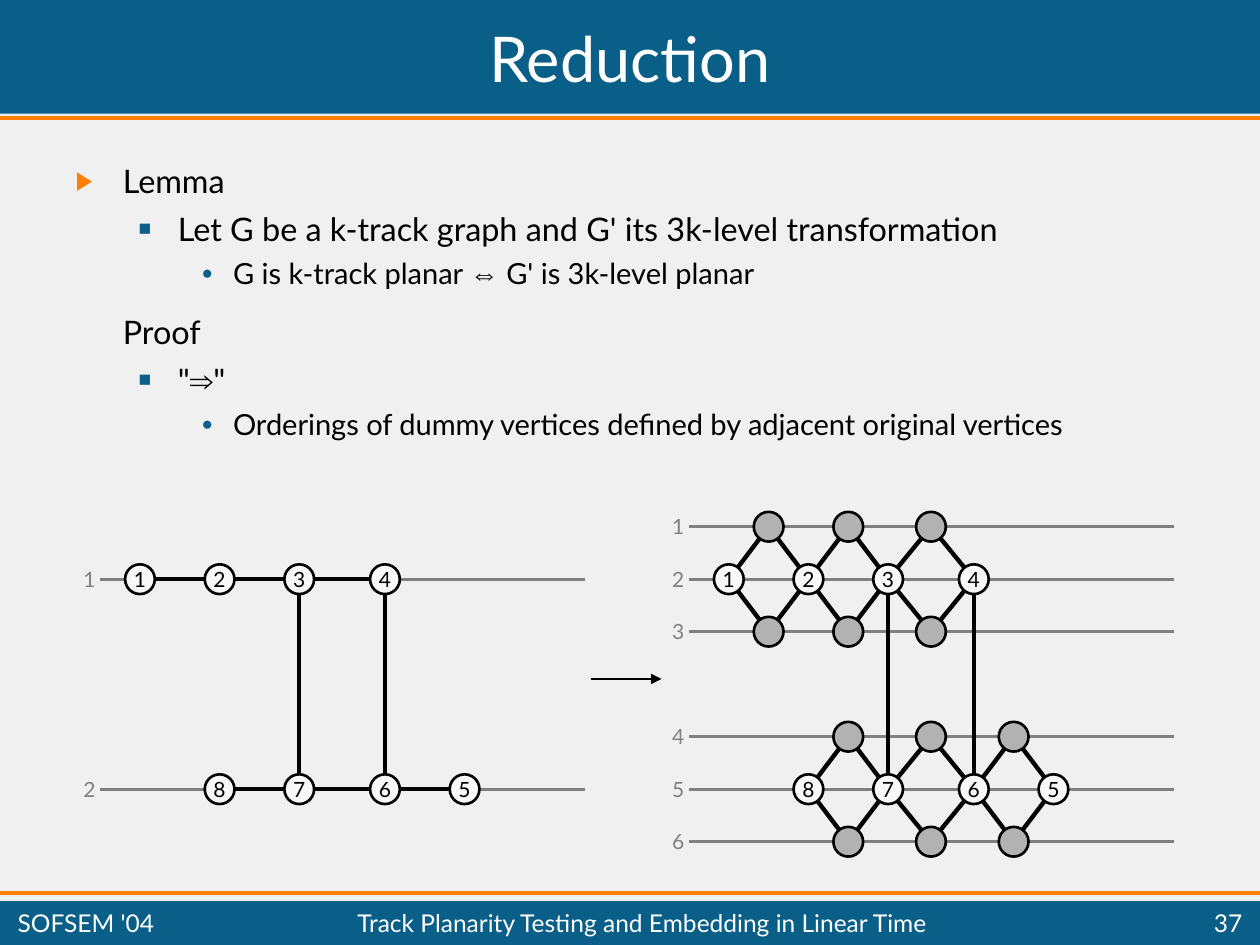
import dataclasses
import itertools
import typing

import lxml.etree
import pptx
import pptx.dml.color
import pptx.enum.shapes
import pptx.enum.text
import pptx.oxml
import pptx.oxml.ns
import pptx.util

Pt = pptx.util.Pt
Shape = pptx.enum.shapes.MSO_SHAPE
Align = pptx.enum.text.PP_ALIGN
Anchor = pptx.enum.text.MSO_ANCHOR
qn = pptx.oxml.ns.qn


@dataclasses.dataclass(frozen=True)
class Theme:
    paper: str = "F0F0F0"
    blue: str = "0A5F89"
    orange: str = "FF7F00"
    white: str = "FFFFFF"
    black: str = "000000"
    grey: str = "808080"
    node: str = "F8F8F8"
    dummy: str = "B2B2B2"
    font: str = "Lato"
    sign: str = "Arial"
    head: float = 36
    large: float = 18.5
    small: float = 16.6
    foot: float = 14
    tag: float = 12


class Level(typing.NamedTuple):
    margin: float
    indent: float
    before: float
    size: float
    mark: str
    scale: int
    color: str


class Item(typing.NamedTuple):
    level: int
    runs: tuple[str, ...]
    mark: bool = True


class Node(typing.NamedTuple):
    name: str
    col: int
    row: int


class Foot(typing.NamedTuple):
    text: str
    left: float
    width: float
    align: Align


THEME = Theme()
LEVELS = (
    Level(27, -27, 12.5, THEME.large, "▶", 80, THEME.orange),
    Level(58.5, -22.5, 5, THEME.large, "■", 65, THEME.blue),
    Level(90, -18, 4.5, THEME.small, "●", 65, THEME.blue),
)
ITEMS = (
    Item(0, ("Lemma",)),
    Item(1, ("Let G be a k-track graph and G' its 3k-level transformation",)),
    Item(2, ("G is k-track planar ", "⇔", " G' is 3k-level planar")),
    Item(0, ("Proof",), False),
    Item(1, ('"', "⇒", '"')),
    Item(2, ("Orderings of dummy vertices defined by adjacent original vertices",)),
)
FEET = (
    Foot("SOFSEM '04", 3, 104, Align.LEFT),
    Foot("Track Planarity Testing and Embedding in Linear Time", 108, 518, Align.CENTER),
    Foot("37", 632, 85, Align.RIGHT),
)
COLS = (80, 125.5, 171, 220, 265.5)
ROWS = (331, 451)
PATHS = (
    tuple(Node(name, col, 0) for col, name in enumerate("1234")),
    tuple(Node(name, col, 1) for col, name in enumerate("8765", 1)),
)
SHIFT = 336.5
RISE = 30
SIZE = 17


def paint(color: str) -> pptx.dml.color.RGBColor:
    return pptx.dml.color.RGBColor.from_string(color)


def write(para, text: str, size: float, color: str, font: str = THEME.font) -> None:
    run = para.add_run()
    run.text = text
    run.font.name = font
    run.font.size = Pt(size)
    run.font.color.rgb = paint(color)


def place(shape, left: float, top: float, width: float, height: float) -> None:
    shape.left, shape.top = Pt(left), Pt(top)
    shape.width, shape.height = Pt(width), Pt(height)


def rule(shapes, x1: float, y1: float, x2: float, y2: float, color: str, width: float):
    line = shapes.add_connector(
        pptx.enum.shapes.MSO_CONNECTOR.STRAIGHT, Pt(x1), Pt(y1), Pt(x2), Pt(y2))
    line.line.color.rgb = paint(color)
    line.line.width = Pt(width)
    lxml.etree.SubElement(line.element.spPr, qn("a:effectLst"))
    return line


def label(shapes, text: str, left: float, top: float, width: float, height: float,
          size: float, color: str, align: Align, wrap: bool) -> None:
    frame = shapes.add_textbox(Pt(left), Pt(top), Pt(width), Pt(height)).text_frame
    frame.word_wrap = wrap
    frame.vertical_anchor = Anchor.MIDDLE
    frame.paragraphs[0].alignment = align
    write(frame.paragraphs[0], text, size, color)


def band(shapes, top: float, height: float, edge: float) -> None:
    bar = shapes.add_shape(Shape.RECTANGLE, 0, Pt(top), Pt(720), Pt(height))
    bar.shadow.inherit = False
    bar.fill.solid()
    bar.fill.fore_color.rgb = paint(THEME.blue)
    bar.line.fill.background()
    rule(shapes, 0, edge, 720, edge, THEME.orange, 2.25)


def disc(shapes, x: float, y: float, fill: str, name: str = "") -> None:
    dot = shapes.add_shape(Shape.OVAL, Pt(x - SIZE / 2), Pt(y - SIZE / 2), Pt(SIZE), Pt(SIZE))
    dot.shadow.inherit = False
    dot.fill.solid()
    dot.fill.fore_color.rgb = paint(fill)
    dot.line.color.rgb = paint(THEME.black)
    dot.line.width = Pt(1.5)
    if name:
        frame = dot.text_frame
        frame.word_wrap = False
        frame.vertical_anchor = Anchor.MIDDLE
        frame.paragraphs[0].alignment = Align.CENTER
        write(frame.paragraphs[0], name, THEME.tag, THEME.black)


def graph(shapes, shift: float, tracks: tuple[float, ...], split: bool) -> None:
    def edge(x1: float, y1: float, x2: float, y2: float) -> None:
        rule(shapes, x1, y1, x2, y2, THEME.black, 2.5)

    for num, y in enumerate(tracks, 1):
        rule(shapes, shift + 57, y, shift + 334.5, y, THEME.grey, 1.5)
        label(shapes, str(num), shift + 40.5, y - 11, 21, 21.5,
              THEME.tag, THEME.grey, Align.LEFT, False)
    for col in (2, 3):
        edge(shift + COLS[col], ROWS[0], shift + COLS[col], ROWS[1])
    for path in PATHS:
        for a, b in itertools.pairwise(path):
            x1, x2, y = shift + COLS[a.col], shift + COLS[b.col], ROWS[a.row]
            if not split:
                edge(x1, y, x2, y)
                continue
            mid = (x1 + x2) / 2
            for level in (y - RISE, y + RISE):
                edge(x1, y, mid, level)
                edge(mid, level, x2, y)
                disc(shapes, mid, level, THEME.dummy)
    for node in itertools.chain(*PATHS):
        disc(shapes, shift + COLS[node.col], ROWS[node.row], THEME.node, node.name)


def bullet(para, level: Level, mark: bool) -> None:
    props = para._p.get_or_add_pPr()
    props.set("marL", str(Pt(level.margin)))
    props.set("indent", str(Pt(level.indent if mark else 0)))
    if not mark:
        lxml.etree.SubElement(props, qn("a:buNone"))
        return
    tint = lxml.etree.SubElement(props, qn("a:buClr"))
    lxml.etree.SubElement(tint, qn("a:srgbClr"), val=level.color)
    lxml.etree.SubElement(props, qn("a:buSzPct"), val=str(level.scale * 1000))
    lxml.etree.SubElement(props, qn("a:buFont"), typeface=THEME.sign)
    lxml.etree.SubElement(props, qn("a:buChar"), char=level.mark)


def fill(body) -> None:
    place(body, 36, 88.5, 648, 181.5)
    frame = body.text_frame
    frame.auto_size = pptx.enum.text.MSO_AUTO_SIZE.NONE
    frame.vertical_anchor = Anchor.TOP
    for num, item in enumerate(ITEMS):
        para = frame.add_paragraph() if num else frame.paragraphs[0]
        level = LEVELS[item.level]
        para.level = item.level
        para.space_before = Pt(level.before)
        bullet(para, level, item.mark)
        for text in item.runs:
            font = THEME.sign if text in "⇔⇒" else THEME.font
            write(para, text, level.size, THEME.black, font)


def main() -> None:
    deck = pptx.Presentation()
    deck.slide_width, deck.slide_height = Pt(720), Pt(540)
    slide = deck.slides.add_slide(deck.slide_layouts[1])
    slide.background.fill.solid()
    slide.background.fill.fore_color.rgb = paint(THEME.paper)
    shapes = slide.shapes
    band(shapes, 0, 65, 67.5)
    band(shapes, 515, 25, 510.5)

    title = shapes.title
    title.element.getparent().append(title.element)
    place(title, 3, 3, 714, 60)
    title.text_frame.auto_size = pptx.enum.text.MSO_AUTO_SIZE.NONE
    title.text_frame.vertical_anchor = Anchor.MIDDLE
    title.text_frame.paragraphs[0].alignment = Align.CENTER
    write(title.text_frame.paragraphs[0], "Reduction", THEME.head, THEME.white)
    fill(slide.placeholders[1])

    levels = tuple(y + step for y in ROWS for step in (-RISE, 0, RISE))
    graph(shapes.add_group_shape().shapes, 0, ROWS, False)
    arrow = rule(shapes, 337.5, 388, 378, 388, THEME.black, 0.75)
    lxml.etree.SubElement(arrow.line._get_or_add_ln(), qn("a:tailEnd"), type="triangle")
    graph(shapes.add_group_shape().shapes, SHIFT, levels, True)
    for foot in FEET:
        label(shapes, foot.text, foot.left, 517.5, foot.width, 20,
              THEME.foot, THEME.white, foot.align, True)
    deck.save("out.pptx")


if __name__ == "__main__":
    main()
